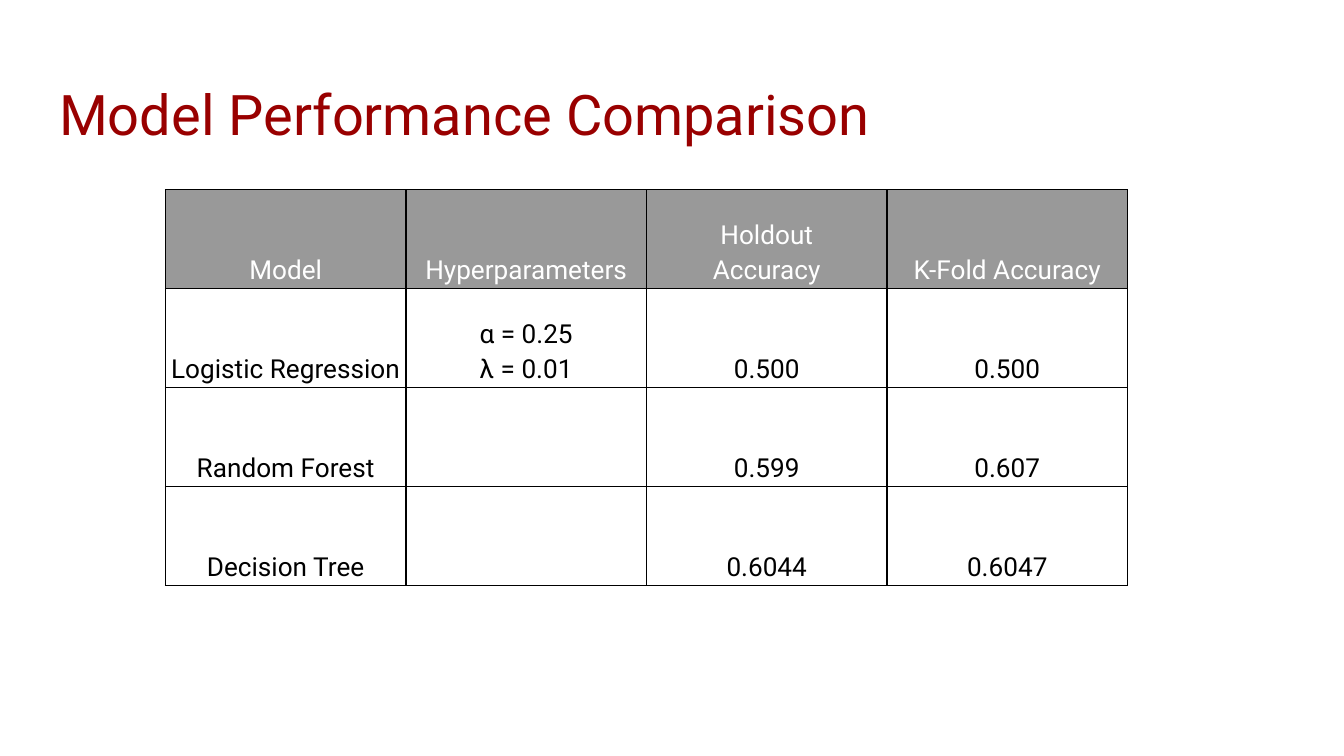
from lxml.etree import SubElement
from pptx import Presentation
from pptx.dml.color import RGBColor
from pptx.enum.text import MSO_ANCHOR, MSO_AUTO_SIZE, PP_ALIGN
from pptx.oxml.ns import qn
from pptx.util import Pt

DARK_RED = RGBColor(0x99, 0x00, 0x00)
GRAY = RGBColor(0x99, 0x99, 0x99)
WHITE = RGBColor(0xFF, 0xFF, 0xFF)
BLACK = RGBColor(0x00, 0x00, 0x00)
FONT = "Roboto"
COLUMN_WIDTH = 128.88
ROW_HEIGHT = 53.05
ROWS = [
    ["Model", "Hyperparameters", "Holdout\nAccuracy", "K-Fold Accuracy"],
    ["Logistic Regression", "α = 0.25\nλ = 0.01", "0.500", "0.500"],
    ["Random Forest", "", "0.599", "0.607"],
    ["Decision Tree", "", "0.6044", "0.6047"],
]


def write_text(frame, text, *, size, color, align, line_spacing=1.0):
    frame.text = text
    for paragraph in frame.paragraphs:
        paragraph.alignment = align
        paragraph.line_spacing = line_spacing
        paragraph.font.name = FONT
        paragraph.font.size = Pt(size)
        for run in paragraph.runs:
            run.font.name = FONT
            run.font.size = Pt(size)
            run.font.color.rgb = color


def add_borders(cell, color, width):
    properties = cell._tc.get_or_add_tcPr()
    for position, side in enumerate(("a:lnL", "a:lnR", "a:lnT", "a:lnB")):
        line = SubElement(properties, qn(side), w=str(Pt(width)))
        fill = SubElement(line, qn("a:solidFill"))
        SubElement(fill, qn("a:srgbClr"), val=str(color))
        properties.insert(position, line)  # borders come before the cell fill


presentation = Presentation()
presentation.slide_width = Pt(720)
presentation.slide_height = Pt(405)
slide = presentation.slides.add_slide(presentation.slide_layouts[5])

title = slide.shapes.title
title.left, title.top, title.width, title.height = Pt(24.5), Pt(35.3), Pt(671), Pt(45.4)
frame = title.text_frame
frame.auto_size = MSO_AUTO_SIZE.NONE
frame.word_wrap = True
frame.vertical_anchor = MSO_ANCHOR.TOP
frame.margin_left = frame.margin_right = frame.margin_top = frame.margin_bottom = Pt(7.2)
write_text(frame, "Model Performance Comparison", size=30, color=DARK_RED, align=PP_ALIGN.LEFT)

table = slide.shapes.add_table(
    len(ROWS), len(ROWS[0]), Pt(88.6), Pt(101.6),
    Pt(COLUMN_WIDTH * len(ROWS[0])), Pt(ROW_HEIGHT * len(ROWS)),
).table
table.horz_banding = False
for column in table.columns:
    column.width = Pt(COLUMN_WIDTH)
for row_index, (row, texts) in enumerate(zip(table.rows, ROWS)):
    row.height = Pt(ROW_HEIGHT)
    is_header = row_index == 0
    for cell, text in zip(row.cells, texts):
        cell.vertical_anchor = MSO_ANCHOR.BOTTOM
        cell.margin_left = cell.margin_right = Pt(2.2)
        cell.margin_top = cell.margin_bottom = Pt(1.4)
        if is_header:
            cell.fill.solid()
            cell.fill.fore_color.rgb = GRAY
        else:
            cell.fill.background()
        add_borders(cell, BLACK, 0.75)
        write_text(cell.text_frame, text, size=14, color=WHITE if is_header else BLACK,
                   align=PP_ALIGN.CENTER, line_spacing=1.15)

presentation.save("out.pptx")
